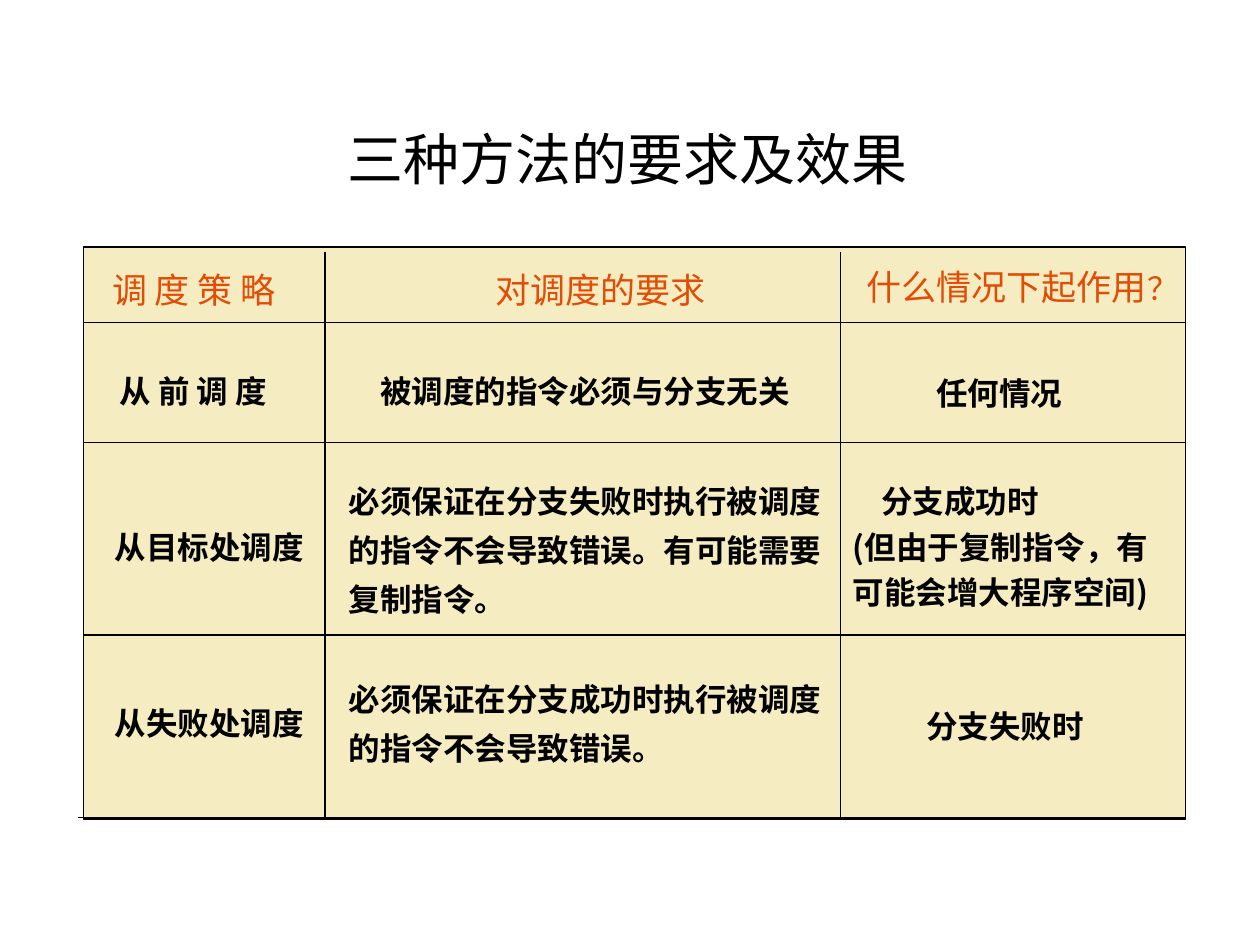
"""Build a slide with a ruled grid comparing three instruction scheduling strategies."""
from dataclasses import dataclass

import pptx
import pptx.dml.color
import pptx.enum.shapes
import pptx.enum.text
import pptx.oxml
import pptx.oxml.ns
import pptx.util
from pptx.util import Cm


@dataclass(frozen=True)
class Theme:
    panel: str = "F6ECC2"
    ink: str = "000000"
    accent: str = "E24C05"
    title_font: str = "Calibri"
    body_font: str = "Noto Sans CJK SC"
    title_size: int = 32
    header_size: int = 20
    body_size: int = 18
    rule: float = 0.75


theme = Theme()


def color(value):
    return pptx.dml.color.RGBColor.from_string(value)


def add_text(page, place, paragraphs, size, ink, font=theme.body_font, bold=False,
             spacing=None, filled=True, wrap=False):
    box = page.shapes.add_textbox(*[Cm(length) for length in place])
    if filled:
        box.fill.solid()
        box.fill.fore_color.rgb = color(theme.panel)
    frame = box.text_frame
    frame.word_wrap = wrap
    frame.auto_size = pptx.enum.text.MSO_AUTO_SIZE.NONE
    for index, lines in enumerate(paragraphs):
        para = frame.add_paragraph() if index else frame.paragraphs[0]
        if spacing:
            para.line_spacing = spacing
        for number, line in enumerate(lines.split("\n")):
            if number:
                para.add_line_break()
            span = para.add_run()
            span.text = line
            span.font.size = pptx.util.Pt(size)
            span.font.bold = bold
            span.font.name = font
            span.font.color.rgb = color(ink)
            east = pptx.oxml.parse_xml(
                f'<a:ea {pptx.oxml.ns.nsdecls("a")} typeface="{theme.body_font}"/>')
            span.font._element.find(pptx.oxml.ns.qn("a:latin")).addnext(east)
    return frame


deck = pptx.Presentation()
deck.slide_width, deck.slide_height = Cm(25.4), Cm(19.05)
page = deck.slides.add_slide(deck.slide_layouts[6])

panel = page.shapes.add_shape(pptx.enum.shapes.MSO_SHAPE.RECTANGLE,
                              Cm(1.68), Cm(4.98), Cm(22.22), Cm(11.53))
panel.shadow.inherit = False
panel.fill.solid()
panel.fill.fore_color.rgb = color(theme.panel)
panel.line.color.rgb = color(theme.ink)
panel.line.width = pptx.util.Pt(theme.rule)

add_text(page, (6.76, 2.39, 13.13, 1.55), ["三种方法的要求及效果"],
         theme.title_size, theme.ink, theme.title_font, filled=False)

headers = [
    ((2.01, 5.28, 4.72, 1.09), "调 度 策 略"),
    ((9.73, 5.28, 5.18, 1.09), "对调度的要求"),
]
for place, words in headers:
    add_text(page, place, [words], theme.header_size, theme.accent)

question = add_text(page, (17.22, 5.23, 6.78, 1.09), ["什么情况下起作用"],
                    theme.header_size, theme.accent, filled=False)
mark = question.paragraphs[0].add_run()
mark.text = "？"
mark.font.name = theme.body_font
mark.font.size = pptx.util.Pt(theme.body_size)
mark.font.color.rgb = color(theme.accent)

cells = [
    ((2.16, 7.37, 4.24, 1.02), "从 前 调 度", None),
    ((2.06, 10.52, 4.34, 1.02), "从目标处调度", None),
    ((2.06, 14.07, 4.34, 1.02), "从失败处调度", None),
    ((7.42, 7.37, 8.81, 1.02), "被调度的指令必须与分支无关", None),
    ((6.78, 9.37, 10.11, 3.23),
     "必须保证在分支失败时执行被调度\n的指令不会导致错误。有可能需要\n复制指令。", 1.3),
    ((6.78, 13.36, 10.11, 2.24), "必须保证在分支成功时执行被调度\n的指令不会导致错误。", 1.3),
    ((18.62, 7.42, 3.07, 1.02), "任何情况", None),
    ((18.42, 14.12, 3.71, 1.02), "分支失败时", None),
]
for place, words, spacing in cells:
    add_text(page, place, [words], theme.body_size, theme.ink, bold=True, spacing=spacing)

success = add_text(page, (16.94, 9.45, 6.96, 3.94),
                   ["分支成功时", "(但由于复制指令，有\n可能会增大程序空间)"],
                   theme.body_size, theme.ink, bold=True, spacing=1.2, filled=False, wrap=True)
success.paragraphs[0]._p.get_or_add_pPr().set("indent", str(Cm(0.58)))

rows = [(1.57, y, 23.88, y) for y in (16.48,)]
rows += [(1.68, y, 23.9, y) for y in (6.5, 8.92, 12.8)]
columns = [(x, 5.07, x, 16.5) for x in (6.55, 16.94)]
for ends in rows + columns:
    rule = page.shapes.add_connector(pptx.enum.shapes.MSO_CONNECTOR.STRAIGHT,
                                     *[Cm(length) for length in ends])
    rule.line.color.rgb = color(theme.ink)
    rule.line.width = pptx.util.Pt(theme.rule)
    rule._element.spPr.append(
        pptx.oxml.parse_xml(f'<a:effectLst {pptx.oxml.ns.nsdecls("a")}/>'))

deck.save("out.pptx")
